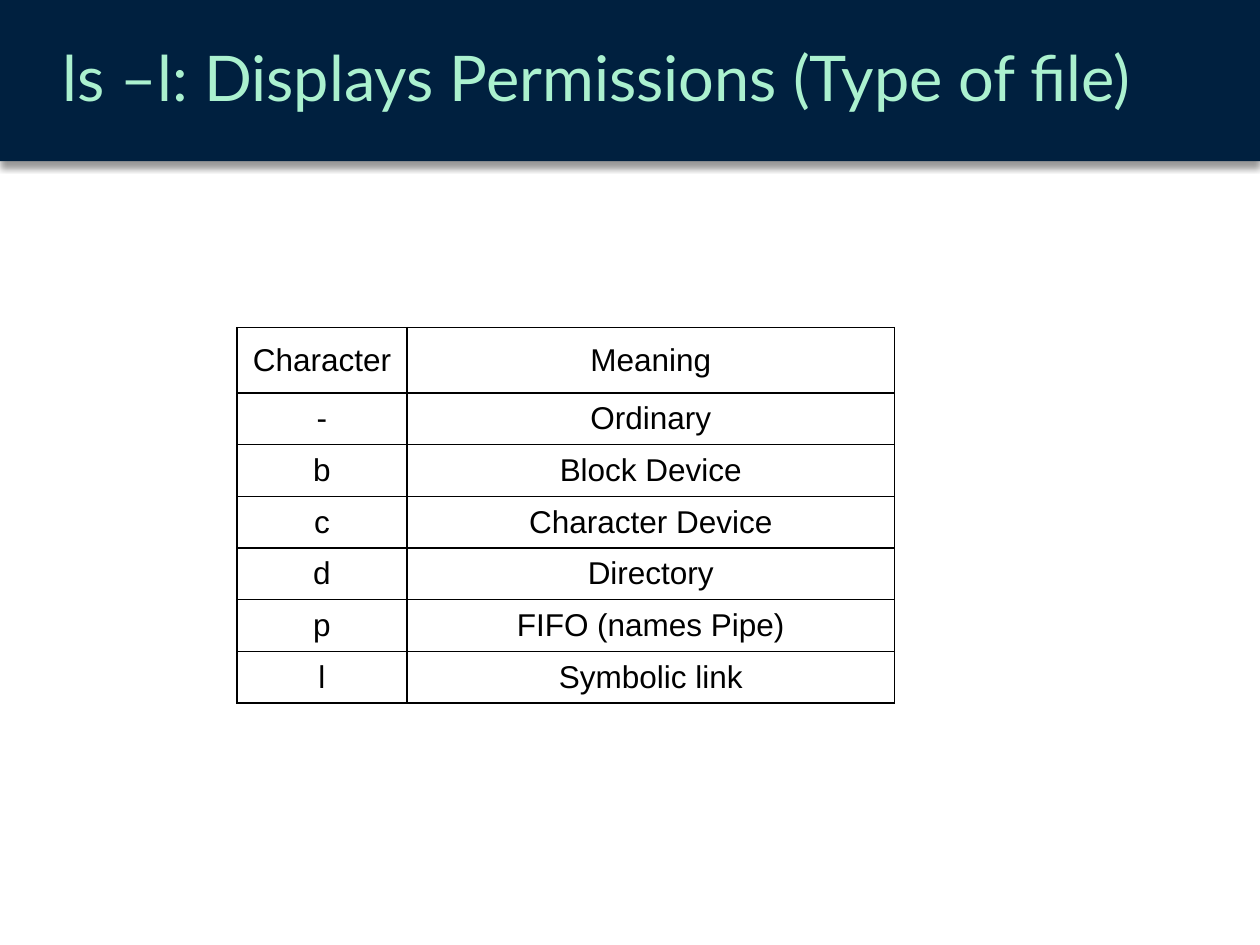
from lxml.etree import SubElement
from pptx import Presentation
from pptx.dml.color import RGBColor
from pptx.enum.shapes import MSO_SHAPE
from pptx.enum.text import MSO_ANCHOR, PP_ALIGN
from pptx.oxml import parse_xml
from pptx.oxml.ns import nsdecls, qn
from pptx.util import Inches, Pt

COLORS = {"navy": "00203F", "mint": "ABF1CF", "black": "000000"}
TITLE = {"name": "Lato", "size": Pt(36)}
BODY = {"name": "Arial", "size": Pt(18)}
BAND = 1.28
COLS = [1.35, 3.87]
HEAD, ROW = 0.52, 0.41
ROWS = [
    ("Character", "Meaning"),
    ("-", "Ordinary"),
    ("b", "Block Device"),
    ("c", "Character Device"),
    ("d", "Directory"),
    ("p", "FIFO (names Pipe)"),
    ("l", "Symbolic link"),
]


def color(name):
    return RGBColor.from_string(COLORS[name])


def style(font, values, tint):
    for key, value in values.items():
        setattr(font, key, value)
    font.color.rgb = color(tint)


def add_shadow(shape):
    """Give the shape a soft shadow straight below it."""
    shape.shadow.inherit = False
    effects = shape.element.spPr.find(qn("a:effectLst"))
    outer = SubElement(effects, qn("a:outerShdw"), blurRad=str(Pt(4)),
                       dist=str(Pt(3)), dir="5400000", rotWithShape="0")
    tint = SubElement(outer, qn("a:srgbClr"), val=COLORS["black"])
    SubElement(tint, qn("a:alpha"), val="40000")


def add_band(slide):
    band = slide.shapes.add_shape(
        MSO_SHAPE.RECTANGLE, 0, 0, Inches(10), Inches(BAND))
    band.fill.solid()
    band.fill.fore_color.rgb = color("navy")
    band.line.fill.background()
    add_shadow(band)


def add_title(slide, text):
    box = slide.shapes.add_textbox(Inches(0.4), 0, Inches(9.6), Inches(BAND))
    frame = box.text_frame
    frame.word_wrap = True
    frame.vertical_anchor = MSO_ANCHOR.MIDDLE
    para = frame.paragraphs[0]
    para.text = text
    para.line_spacing = 0.9
    para.space_after = Pt(6)
    style(para.font, TITLE, "mint")


def add_border(cell):
    props = cell._tc.get_or_add_tcPr()
    for i, side in enumerate("LRTB"):
        props.insert(i, parse_xml(
            f'<a:ln{side} {nsdecls("a")} w="{Pt(1)}"><a:solidFill>'
            f'<a:srgbClr val="{COLORS["black"]}"/></a:solidFill></a:ln{side}>'))


def fill_cell(cell, text):
    cell.fill.background()
    cell.vertical_anchor = MSO_ANCHOR.MIDDLE
    para = cell.text_frame.paragraphs[0]
    para.text = text
    para.alignment = PP_ALIGN.CENTER
    style(para.font, BODY, "black")
    add_border(cell)


def add_grid(slide):
    highs = [HEAD] + [ROW] * (len(ROWS) - 1)
    table = slide.shapes.add_table(
        len(ROWS), len(COLS), Inches(1.88), Inches(2.6),
        Inches(sum(COLS)), Inches(sum(highs))).table
    table.first_row = table.horz_banding = False
    for col, width in zip(table.columns, COLS):
        col.width = Inches(width)
    for row, high, texts in zip(table.rows, highs, ROWS):
        row.height = Inches(high)
        for cell, text in zip(row.cells, texts):
            fill_cell(cell, text)


def main():
    deck = Presentation()
    deck.slide_width, deck.slide_height = Inches(10), Inches(7.5)
    slide = deck.slides.add_slide(deck.slide_layouts[6])
    add_band(slide)
    add_title(slide, "ls –l: Displays Permissions (Type of file)")
    add_grid(slide)
    deck.save("out.pptx")


if __name__ == "__main__":
    main()
